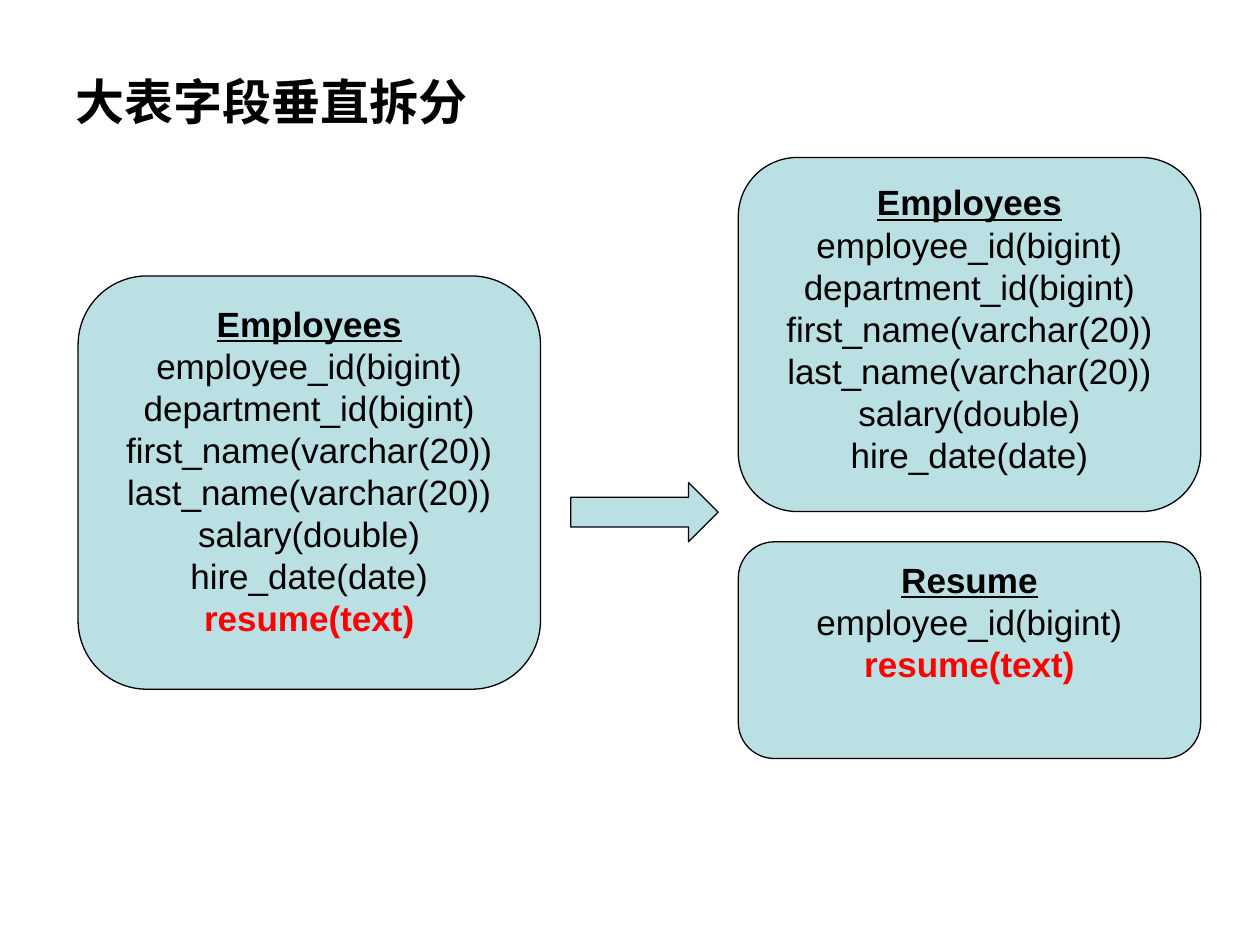
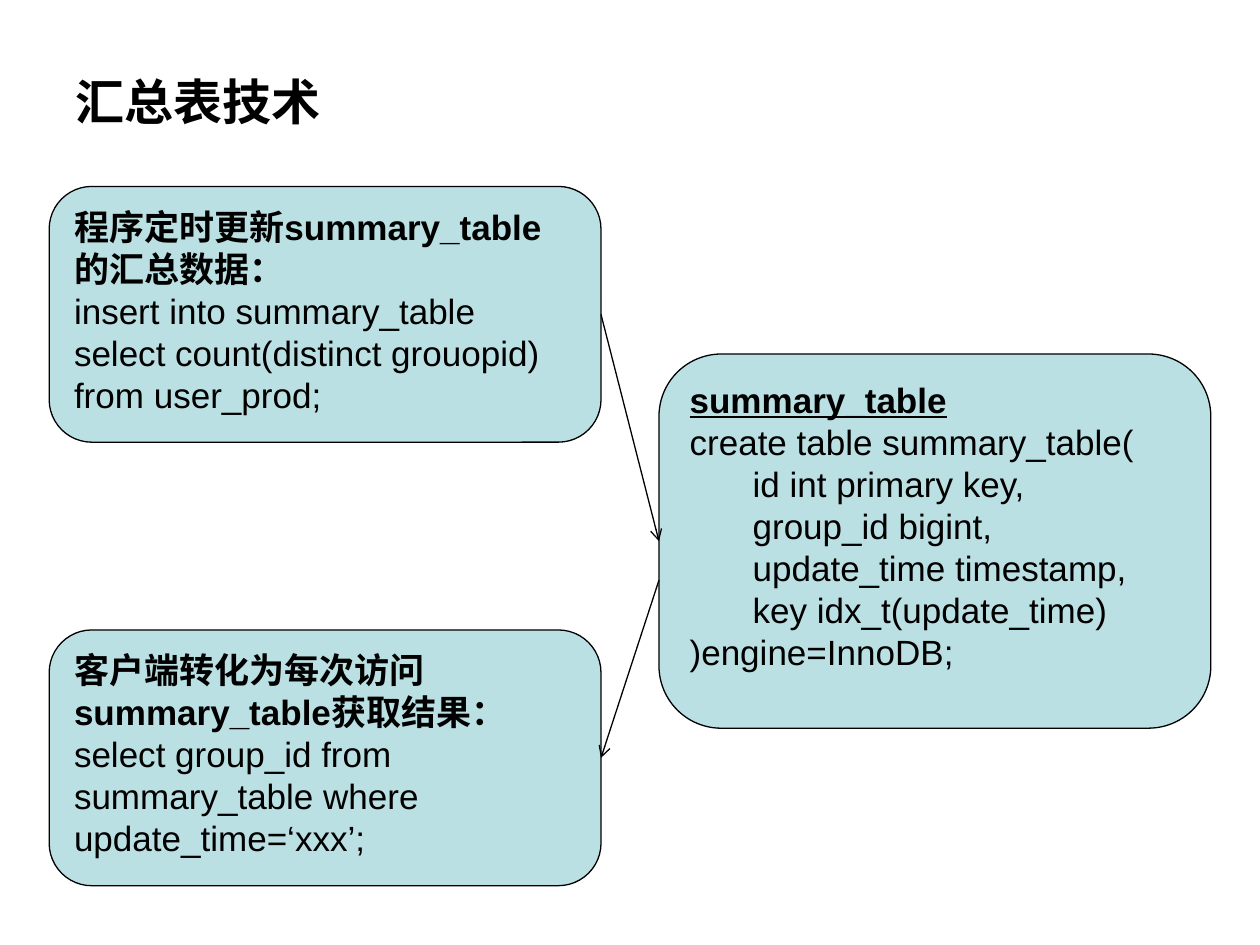
"""Builds two slides on splitting wide tables and using summary tables."""
from dataclasses import dataclass

from lxml import etree
from pptx import Presentation
from pptx.dml.color import RGBColor
from pptx.enum import shapes, text
from pptx.oxml import ns
from pptx.util import Inches, Pt


@dataclass(frozen=True)
class Theme:
    """Colours, fonts and type sizes shared by the slides."""
    ink: RGBColor = RGBColor(0x00, 0x00, 0x00)
    panel: RGBColor = RGBColor(0xBB, 0xE0, 0xE3)
    alert: RGBColor = RGBColor(0xFF, 0x00, 0x00)
    title_font: str = "Open Sans"
    body_font: str = "Arial"
    title_size: Pt = Pt(28)
    body_size: Pt = Pt(20)
    line_width: Pt = Pt(0.75)


@dataclass(frozen=True)
class Box:
    """A rectangle in inches."""
    left: float
    top: float
    width: float
    height: float

    @property
    def right(self):
        """Return the right edge."""
        return self.left + self.width

    @property
    def middle(self):
        """Return the vertical centre."""
        return self.top + self.height / 2

    def lengths(self):
        """Return left, top, width and height as lengths."""
        return [Inches(v) for v in (self.left, self.top, self.width, self.height)]


THEME = Theme()
TITLE_BOX = Box(0.5, 0.38, 9, 0.85)
CONTENT_BOX = Box(0, 1.25, 10, 6.25)
RESUME_FIELD = "resume(text)"
EMPLOYEE_FIELDS = [
    "employee_id(bigint)",
    "department_id(bigint)",
    "first_name(varchar(20))",
    "last_name(varchar(20))",
    "salary(double)",
    "hire_date(date)",
]


def style_font(font, name, size, color, bold=False, underline=False):
    """Apply one type style to a font."""
    font.name, font.size, font.bold, font.underline = name, size, bold, underline
    font.color.rgb = color


def add_page(deck, title):
    """Add a title-only slide with a left-aligned bold title."""
    page = deck.slides.add_slide(deck.slide_layouts[5])
    holder = page.shapes.title
    holder.left, holder.top, holder.width, holder.height = TITLE_BOX.lengths()
    frame = holder.text_frame
    frame.text = title
    frame.auto_size = text.MSO_AUTO_SIZE.NONE
    frame.vertical_anchor = text.MSO_ANCHOR.MIDDLE
    para = frame.paragraphs[0]
    para.alignment = text.PP_ALIGN.LEFT
    style_font(para.runs[0].font, THEME.title_font, THEME.title_size, THEME.ink, True)
    return page


def add_panel(page, kind, box):
    """Add a filled, outlined preset shape."""
    panel = page.shapes.add_shape(kind, *box.lengths())
    panel.shadow.inherit = False
    panel.fill.solid()
    panel.fill.fore_color.rgb = THEME.panel
    panel.line.color.rgb = THEME.ink
    panel.line.width = THEME.line_width
    return panel


def add_card(page, box, heading, lines, align, underline=True):
    """Add a rounded card with a bold heading above plain lines."""
    card = add_panel(page, shapes.MSO_SHAPE.ROUNDED_RECTANGLE, box)
    frame = card.text_frame
    frame.word_wrap = True
    frame.vertical_anchor = text.MSO_ANCHOR.TOP
    frame.text = "\n".join([heading, *lines])
    for index, para in enumerate(frame.paragraphs):
        para.alignment = align
        is_heading, is_moved = index == 0, para.text == RESUME_FIELD
        color = THEME.alert if is_moved else THEME.ink
        for span in para.runs:
            style_font(span.font, THEME.body_font, THEME.body_size, color,
                       is_heading or is_moved, is_heading and underline)


def add_arrow(page, start, end):
    """Add a thin straight arrow between two points."""
    arrow = page.shapes.add_connector(
        shapes.MSO_CONNECTOR.STRAIGHT, *(Inches(v) for v in (*start, *end)))
    arrow.line.color.rgb = THEME.ink
    arrow.line.width = THEME.line_width
    outline = arrow.line._get_or_add_ln()
    etree.SubElement(outline, ns.qn("a:tailEnd"), type="arrow")
    etree.SubElement(arrow._element.spPr, ns.qn("a:effectLst"))


def draw_split(page, box):
    """Draw one wide table split into two narrower ones."""
    center, width = text.PP_ALIGN.CENTER, 3.67
    source = Box(box.left + 0.62, box.top + 0.94, width, 3.28)
    employees = Box(box.left + 5.86, box.top, width, 2.81)
    resume = Box(employees.left, box.top + 3.05, width, 1.72)
    add_card(page, source, "Employees", [*EMPLOYEE_FIELDS, RESUME_FIELD], center)
    add_card(page, employees, "Employees", EMPLOYEE_FIELDS, center)
    add_card(page, resume, "Resume", [EMPLOYEE_FIELDS[0], RESUME_FIELD], center)
    add_panel(page, shapes.MSO_SHAPE.RIGHT_ARROW,
              Box(source.right + 0.24, source.middle, 1.17, 0.47))


def draw_summary(page, box):
    """Draw the writer and the reader of a summary table."""
    left, width, height = text.PP_ALIGN.LEFT, 4.38, 2.03
    writer = Box(box.left + 0.39, box.top + 0.23, width, height)
    reader = Box(writer.left, box.top + 3.75, width, height)
    summary = Box(writer.right + 0.46, box.top + 1.56, width, 2.97)
    add_card(page, summary, "summary_table", [
        "create table summary_table(",
        "\tid int primary key,",
        "\tgroup_id bigint,",
        "\tupdate_time timestamp,",
        "\tkey idx_t(update_time)",
        ")engine=InnoDB;",
    ], left)
    add_card(page, writer, "程序定时更新summary_table的汇总数据：", [
        "insert into summary_table",
        "select count(distinct grouopid) from user_prod;",
    ], left, underline=False)
    add_card(page, reader, "客户端转化为每次访问summary_table获取结果：", [
        "select group_id from summary_table where update_time=‘xxx’;",
    ], left, underline=False)
    add_arrow(page, (writer.right, writer.middle), (summary.left, summary.middle))
    add_arrow(page, (summary.left, summary.middle + 0.31), (reader.right, reader.middle))


def main():
    """Build and save the deck."""
    deck = Presentation()
    deck.slide_width, deck.slide_height = Inches(10), Inches(7.5)
    draw_split(add_page(deck, "大表字段垂直拆分"), CONTENT_BOX)
    draw_summary(add_page(deck, "汇总表技术"), CONTENT_BOX)
    deck.save("out.pptx")


main()
